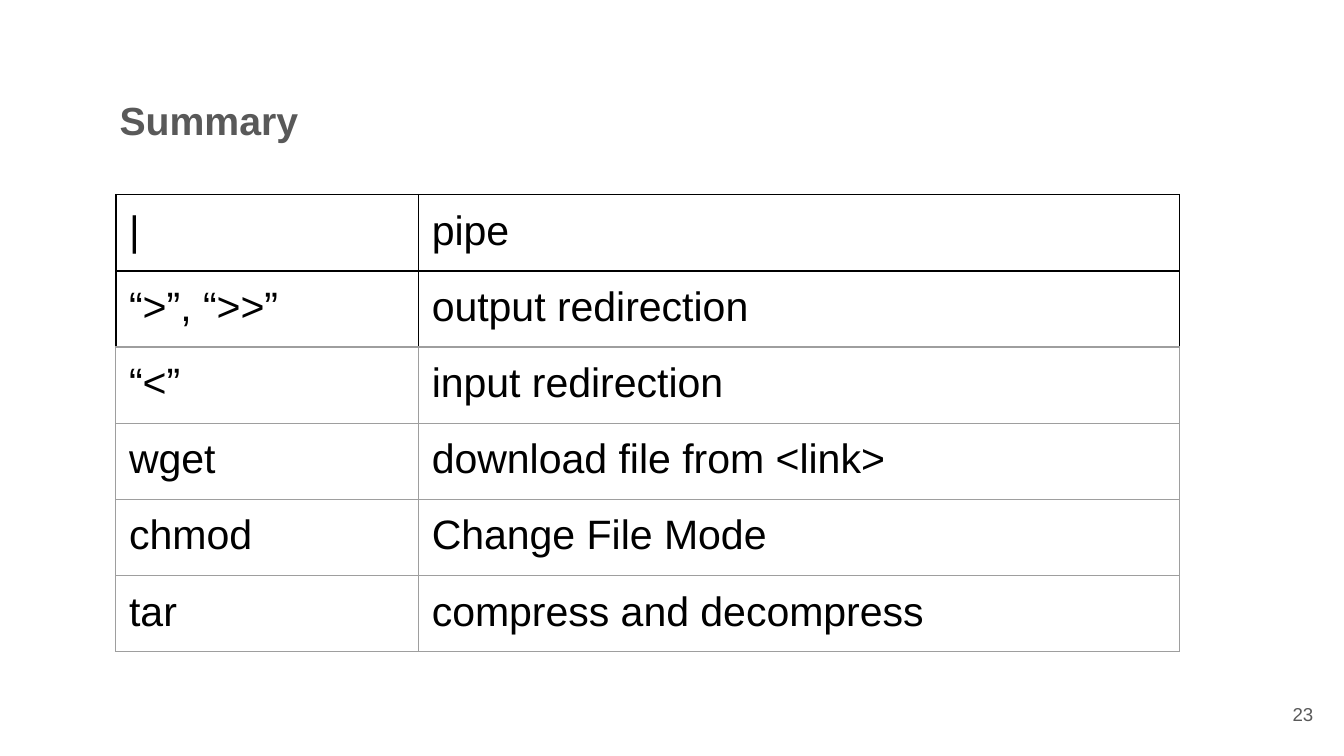
from lxml.etree import SubElement
from pptx import Presentation
from pptx.dml.color import RGBColor
from pptx.enum.text import MSO_ANCHOR, PP_ALIGN
from pptx.oxml.ns import qn
from pptx.util import Cm, Pt

INSET = Cm(0.25)
MARGINS = dict.fromkeys(
    ("margin_left", "margin_right", "margin_top", "margin_bottom"), INSET)
TITLE = {"name": "Arial", "size": Pt(21), "bold": True}
BODY = {"name": "Arial", "size": Pt(22), "bold": False}
NUMBER = {"name": "Arial", "size": Pt(10), "bold": False}
GREY, BLACK, LINE = "595959", "000000", "9E9E9E"
COLUMNS = (5.72, 14.38)
ROW_HEIGHT = 1.44
BLACK_ROWS = 2
COMMANDS = [
    ("|", "pipe"),
    ("“>”, “>>”", "output redirection"),
    ("“<”", "input redirection"),
    ("wget", "download file from <link>"),
    ("chmod", "Change File Mode"),
    ("tar", "compress and decompress"),
]


def rgb(color):
    return RGBColor.from_string(color)


def apply(obj, values):
    for name, value in values.items():
        setattr(obj, name, value)


def write(tf, text, font, color, align=PP_ALIGN.LEFT):
    p = tf.paragraphs[0]
    p.alignment = align
    r = p.add_run()
    r.text = text
    apply(r.font, font)
    r.font.color.rgb = rgb(color)


def add_text(s, box, text, font, align=PP_ALIGN.LEFT, anchor=MSO_ANCHOR.TOP):
    tf = s.shapes.add_textbox(*map(Cm, box)).text_frame
    apply(tf, MARGINS | {"word_wrap": True, "vertical_anchor": anchor})
    write(tf, text, font, GREY, align)


def set_border(cell, side, color):
    width = Pt(1) if color == BLACK else Pt(0.75)
    ln = SubElement(cell._tc.get_or_add_tcPr(), qn(f"a:ln{side}"), w=str(width))
    fill = SubElement(ln, qn("a:solidFill"))
    SubElement(fill, qn("a:srgbClr"), val=color)


def add_command_table(s, left, top):
    frame = s.shapes.add_table(
        len(COMMANDS), len(COLUMNS), Cm(left), Cm(top),
        Cm(sum(COLUMNS)), Cm(ROW_HEIGHT * len(COMMANDS)))
    table = frame.table
    apply(table, {"first_row": False, "horz_banding": False})
    for column, width in zip(table.columns, COLUMNS):
        column.width = Cm(width)
    for i, texts in enumerate(COMMANDS):
        table.rows[i].height = Cm(ROW_HEIGHT)
        edge = BLACK if i < BLACK_ROWS else LINE
        above = BLACK if i < BLACK_ROWS else LINE
        below = BLACK if i < BLACK_ROWS - 1 else LINE
        for j, text in enumerate(texts):
            cell = table.cell(i, j)
            apply(cell, MARGINS)
            write(cell.text_frame, text, BODY, BLACK)
            for side, color in zip("LRTB", (edge, edge, above, below)):
                set_border(cell, side, color)
            cell.fill.background()


def main():
    """Build the command summary slide."""
    prs = Presentation()
    apply(prs, {"slide_width": Cm(25.4), "slide_height": Cm(14.29)})
    s = prs.slides.add_slide(prs.slide_layouts[6])
    add_text(s, (2.01, 1.57, 4.9, 1.42), "Summary", TITLE)
    add_command_table(s, 2.19, 3.68)
    add_text(s, (23.55, 12.95, 1.52, 1.09), "23", NUMBER,
             PP_ALIGN.RIGHT, MSO_ANCHOR.MIDDLE)
    prs.save("out.pptx")


if __name__ == "__main__":
    main()
